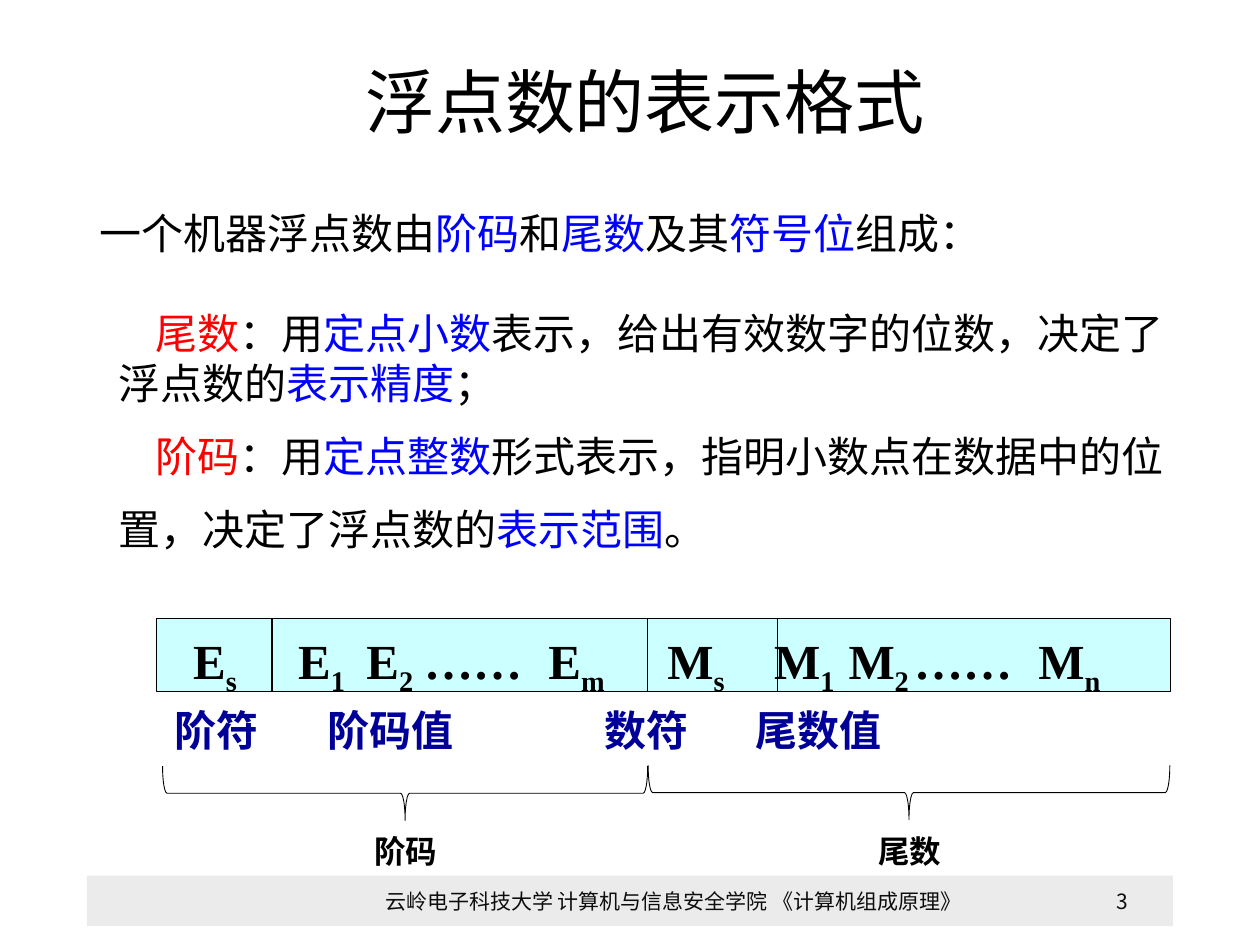
from lxml import etree
from pptx import Presentation
from pptx import util as u
from pptx.dml import color
from pptx.enum import shapes, text
from pptx.oxml import ns

SANS = "Noto Sans CJK SC"
SERIF = "Times New Roman"
BLACK, BLUE, RED, NAVY = "000000", "0000FF", "FF0000", "000099"
GRAY, INK, CYAN = "EBEBEB", "0D0D0D", "CCFFFF"


def rgb(value):
    return color.RGBColor.from_string(value)


def add_run(para, words, size, fill=BLACK, bold=False, face=SANS, baseline=0):
    span = para.add_run()
    span.text = words
    font = span.font
    font.name, font.size, font.bold = face, u.Pt(size), bold
    font.color.rgb = rgb(fill)
    props = font._element
    east = etree.SubElement(props, ns.qn("a:ea"))
    east.set("typeface", face)
    if baseline:
        props.set("baseline", str(baseline * 1000))


def set_tabs(para, stops):
    """Add left tab stops, in points from the text edge."""
    tabs = etree.SubElement(para._p.get_or_add_pPr(), ns.qn("a:tabLst"))
    for stop in stops:
        tab = etree.SubElement(tabs, ns.qn("a:tab"))
        tab.set("pos", str(u.Pt(stop)))
        tab.set("algn", "l")


def add_box(page, box, anchor=text.MSO_ANCHOR.TOP):
    frame = page.shapes.add_textbox(*map(u.Pt, box)).text_frame
    frame.word_wrap = True
    frame.vertical_anchor = anchor
    return frame


def add_line_of_text(page, box, words, size, fill=BLACK, bold=False,
                     align=text.PP_ALIGN.LEFT, anchor=text.MSO_ANCHOR.TOP):
    para = add_box(page, box, anchor).paragraphs[0]
    para.alignment = align
    add_run(para, words, size, fill, bold)
    return para


def add_shape(page, kind, box, fill=None, line=None, weight=0.75):
    shape = page.shapes.add_shape(kind, *map(u.Pt, box))
    shape.shadow.inherit = False
    if fill:
        shape.fill.solid()
        shape.fill.fore_color.rgb = rgb(fill)
    else:
        shape.fill.background()
    if line:
        shape.line.color.rgb = rgb(line)
        shape.line.width = u.Pt(weight)
    else:
        shape.line.fill.background()
    return shape


def add_footer(page, box):
    left, top, width, height = box
    add_shape(page, shapes.MSO_SHAPE.RECTANGLE, box, GRAY)
    parts = [(157.7, 355, "云岭电子科技大学 计算机与信息安全学院 《计算机组成原理》"),
             (562.4, 58.2, "3")]
    for offset, part_width, words in parts:
        add_line_of_text(page, (left + offset, top, part_width, height), words, 12, INK,
                         align=text.PP_ALIGN.CENTER, anchor=text.MSO_ANCHOR.MIDDLE)


def add_intro(page, box):
    para = add_box(page, box).paragraphs[0]
    for words, fill in [("一个机器浮点数由", BLACK), ("阶码", BLUE), ("和", BLACK),
                        ("尾数", BLUE), ("及其", BLACK), ("符号位", BLUE), ("组成：", BLACK)]:
        add_run(para, words, 24, fill)


def add_definitions(page, box):
    definitions = [
        (1, [("尾数", RED), ("：用", BLACK), ("定点小数", BLUE),
             ("表示，给出有效数字的位数，决定了浮点数的", BLACK),
             ("表示精度", BLUE), ("；", BLACK)]),
        (1.45, [("阶码", RED), ("：用", BLACK), ("定点整数", BLUE),
                ("形式表示，指明小数点在数据中的位置，决定了浮点数的", BLACK),
                ("表示范围", BLUE), ("。", BLACK)]),
    ]
    frame = add_box(page, box)
    for index, (spacing, runs) in enumerate(definitions):
        para = frame.add_paragraph() if index else frame.paragraphs[0]
        para.line_spacing = spacing
        para._p.get_or_add_pPr().set("indent", str(u.Pt(21.5)))
        for words, fill in runs:
            add_run(para, words, 24, fill)


def add_word_layout(page, box):
    """Draw the bar of bit fields, its dividers and the field names below."""
    left, top, width, height = box
    frame = add_shape(page, shapes.MSO_SHAPE.RECTANGLE, box, CYAN, BLACK).text_frame
    frame.word_wrap = True
    frame.vertical_anchor = text.MSO_ANCHOR.TOP
    frame.margin_top = u.Pt(6.5)
    frame.margin_bottom = 0
    para = frame.paragraphs[0]
    para.alignment = text.PP_ALIGN.LEFT
    bits = [(14, "E", "s"), (74, "E", "1"), (113, "E", "2"), (146, "……", ""),
            (217, "E", "m"), (285, "M", "s"), (346, "M", "1"), (388.5, "M", "2"),
            (426, "……", ""), (497, "M", "n")]
    set_tabs(para, [stop for stop, _, _ in bits])
    for _, letter, index in bits:
        add_run(para, "\t" + letter, 28, bold=True, face=SERIF)
        if index:
            add_run(para, index, 28, bold=True, face=SERIF, baseline=-25)

    for offset in (66.2, 280.8, 355):
        x = u.Pt(left + offset)
        divider = page.shapes.add_connector(
            shapes.MSO_CONNECTOR.STRAIGHT, x, u.Pt(top), x, u.Pt(top + height))
        divider.line.color.rgb = rgb(BLACK)
        divider.line.width = u.Pt(0.75)
        etree.SubElement(divider._element.spPr, ns.qn("a:effectLst"))

    names = add_line_of_text(page, (left + 3.6, top + 45.4, 523.4, 36.7),
                             "阶符\t阶码值\t数符\t尾数值", 24, NAVY, bold=True)
    set_tabs(names, (87, 245.5, 331.5))


def add_brace(page, box, label):
    """Draw a brace that points down inside the box, with a label under its tip."""
    left, top, width, height = box
    middle = left + width / 2
    upright = (middle - height / 2, top + (height - width) / 2, height, width)
    brace = add_shape(page, shapes.MSO_SHAPE.LEFT_BRACE, upright, line=BLACK, weight=0.5)
    brace.rotation = 270
    add_line_of_text(page, (middle - 25.6, top + 34.3, 52, 28.8), label, 18,
                     bold=True, align=text.PP_ALIGN.CENTER)


def main():
    deck = Presentation()
    deck.slide_width, deck.slide_height = u.Pt(720), u.Pt(540)
    page = deck.slides.add_slide(deck.slide_layouts[6])
    add_footer(page, (49.7, 500.4, 620.6, 28.8))
    add_line_of_text(page, (201.6, 30.2, 338, 55.4), "浮点数的表示格式", 40)
    add_definitions(page, (60.5, 172.1, 629.3, 149.8))
    add_word_layout(page, (89.3, 353.5, 579.6, 41.8))
    add_intro(page, (49.7, 115.2, 521.3, 36))
    add_brace(page, (370.4, 437.4, 298.1, 31), "尾数")
    add_brace(page, (92.9, 437.8, 277.2, 31), "阶码")
    deck.save("out.pptx")


if __name__ == "__main__":
    main()
